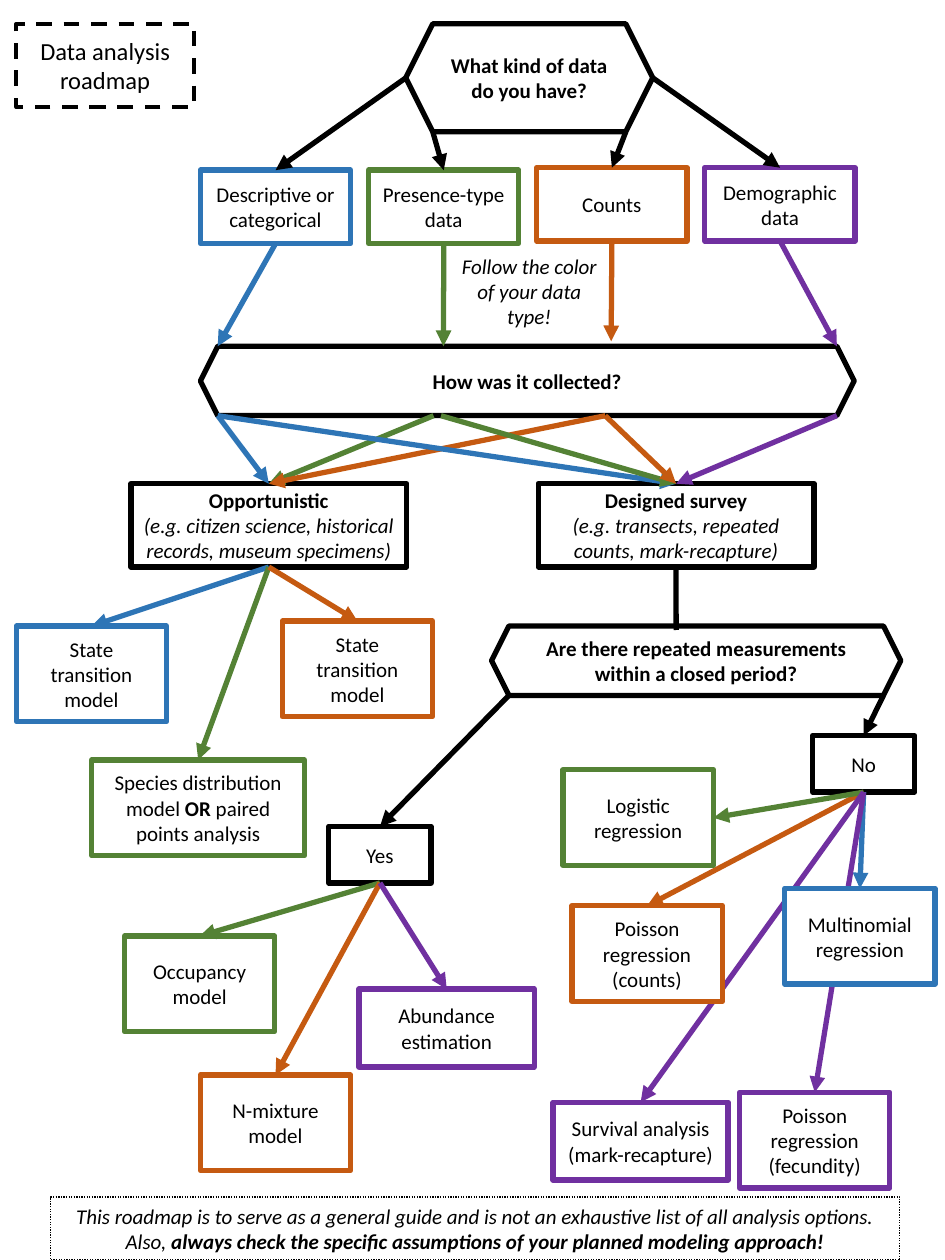
from pptx import Presentation
from pptx import util as u
from pptx.dml.color import RGBColor
from pptx.enum import dml, shapes, text
from pptx.oxml.ns import qn
from lxml import etree

BLACK = RGBColor(0x00, 0x00, 0x00)
WHITE = RGBColor(0xFF, 0xFF, 0xFF)
BLUE = RGBColor(0x2E, 0x75, 0xB6)      # descriptive or categorical
GREEN = RGBColor(0x54, 0x82, 0x35)     # presence-type data
ORANGE = RGBColor(0xC5, 0x5A, 0x11)    # counts
PURPLE = RGBColor(0x70, 0x30, 0xA0)    # demographic data

DATA_SIZE = (3.03, 1.48)
MODEL_SIZE = (3.03, 1.93)
WIDE_SIZE = (3.53, 1.57)
ANSWER_SIZE = (2.06, 1.14)
SURVEY_SIZE = (5.56, 1.68)

RECT = shapes.MSO_SHAPE.RECTANGLE
HEXAGON = shapes.MSO_SHAPE.HEXAGON
MIDDLE = text.MSO_ANCHOR.MIDDLE
TOP = text.MSO_ANCHOR.TOP


def edge(box, across=0.5, down=1.0):
    """Point on a box, in cm, at the given fractions of its width and height."""
    return (box.left.cm + across * box.width.cm, box.top.cm + down * box.height.cm)


def top(box):
    return edge(box, down=0)


def corner(hexagon, right=False, down=1.0):
    """Upper or lower corner of a hexagon, inset by a quarter of its height."""
    inset = 0.25 * hexagon.height / hexagon.width
    return edge(hexagon, 1 - inset if right else inset, down)


class Roadmap:
    def __init__(self, page, font="Calibri", size=12, weight=3):
        self.page, self.font, self.size, self.weight = page, font, size, weight

    def add_text(self, shape, paragraphs, size=None, anchor=MIDDLE):
        """Each paragraph is a list of (words, style); style holds b and/or i."""
        frame = shape.text_frame
        frame.word_wrap = True
        frame.auto_size = text.MSO_AUTO_SIZE.NONE
        frame.vertical_anchor = anchor
        frame.margin_left = frame.margin_right = u.Cm(0.25)
        frame.margin_top = frame.margin_bottom = u.Cm(0.13)
        for index, spans in enumerate(paragraphs):
            para = frame.add_paragraph() if index else frame.paragraphs[0]
            para.alignment = text.PP_ALIGN.CENTER
            for words, style in spans:
                span = para.add_run()
                span.text = words
                span.font.name = self.font
                span.font.size = u.Pt(size or self.size)
                span.font.bold = "b" in style
                span.font.italic = "i" in style
                span.font.color.rgb = BLACK

    def outline(self, shape, color, weight=None, dash=None):
        shape.line.color.rgb = color
        shape.line.width = u.Pt(weight or self.weight)
        if dash:
            shape.line.dash_style = dash

    def title(self, words, left, upper, width, height):
        title = self.page.shapes.title
        title.left, title.top = u.Cm(left), u.Cm(upper)
        title.width, title.height = u.Cm(width), u.Cm(height)
        self.outline(title, BLACK, 2.25, dml.MSO_LINE.DASH)
        self.add_text(title, [[(words, "")]], size=14)

    def box(self, content, at, size, color=BLACK, kind=RECT, fill=None,
            weight=None, dash=None, anchor=MIDDLE):
        box = self.page.shapes.add_shape(kind, *map(u.Cm, at + size))
        box.shadow.inherit = False
        if fill is None:
            box.fill.background()
        else:
            box.fill.solid()
            box.fill.fore_color.rgb = fill
        self.outline(box, color, weight, dash)
        paragraphs = [[(content, "")]] if isinstance(content, str) else content
        self.add_text(box, paragraphs, anchor=anchor)
        return box

    def question(self, words, at, size):
        return self.box([[(words, "b")]], at, size, kind=HEXAGON)

    def note(self, words, at, size):
        note = self.page.shapes.add_textbox(*map(u.Cm, at + size))
        self.add_text(note, [[(words, "i")]], anchor=TOP)

    def line(self, start, end, color=BLACK, arrow=True):
        line = self.page.shapes.add_connector(
            shapes.MSO_CONNECTOR.STRAIGHT, *map(u.Cm, start + end))
        self.outline(line, color)
        properties = line.element.spPr
        if arrow:
            etree.SubElement(properties.get_or_add_ln(), qn("a:tailEnd"), type="triangle")
        etree.SubElement(properties, qn("a:effectLst"))

    def to_front(self, box):
        box.element.getparent().append(box.element)


def main():
    deck = Presentation()
    deck.slide_width, deck.slide_height = u.Cm(19.05), u.Cm(25.4)
    page = deck.slides.add_slide(deck.slide_layouts[5])
    roadmap = Roadmap(page)
    roadmap.title("Data analysis roadmap", 0.33, 0.48, 3.58, 1.68)

    # Questions
    kind = roadmap.question("What kind of data do you have?", (8.18, 0.48), (4.98, 2.18))
    collected = roadmap.question("How was it collected?", (4.04, 6.98), (13.18, 1.4))
    repeated = roadmap.question("Are there repeated measurements within a closed period?",
                                (9.91, 12.62), (8.25, 1.4))

    # Data types
    data_types = [("Descriptive or categorical", 3.43, BLUE),
                  ("Presence-type data", 3.43, GREEN),
                  ("Counts", 3.38, ORANGE),
                  ("Demographic data", 3.38, PURPLE)]
    data = [roadmap.box(words, (4.04 + 3.39 * i, upper), DATA_SIZE, color)
            for i, (words, upper, color) in enumerate(data_types)]
    roadmap.note("Follow the color of your data type!", (9.02, 4.98), (3.3, 1.8))

    # Ways of collecting and answers
    opportunistic = roadmap.box(
        [[("Opportunistic", "b")],
         [("(e.g. citizen science, historical records, museum specimens)", "i")]],
        (2.64, 9.75), SURVEY_SIZE)
    designed = roadmap.box(
        [[("Designed survey", "b")],
         [("(e.g. transects, repeated counts, mark-recapture)", "i")]],
        (10.85, 9.75), SURVEY_SIZE)
    yes = roadmap.box("Yes", (6.63, 16.66), ANSWER_SIZE)
    no = roadmap.box("No", (16.38, 14.83), ANSWER_SIZE)

    # Models
    state_blue = roadmap.box("State transition model", (0.33, 12.62), MODEL_SIZE, BLUE)
    state_orange = roadmap.box("State transition model", (5.69, 12.52), MODEL_SIZE, ORANGE)
    species = roadmap.box(
        [[("Species distribution model ", ""), ("OR", "b"), (" paired points analysis", "")]],
        (1.85, 15.32), (4.29, 1.93), GREEN)
    occupancy = roadmap.box("Occupancy model", (2.51, 18.87), MODEL_SIZE, GREEN)
    mixture = roadmap.box("N-mixture model", (4.04, 21.67), MODEL_SIZE, ORANGE)
    abundance = roadmap.box("Abundance estimation", (7.24, 19.94), WIDE_SIZE, PURPLE)
    survival = roadmap.box("Survival analysis (mark-recapture)", (11.15, 22.22),
                           WIDE_SIZE, PURPLE)
    fecundity = roadmap.box("Poisson regression (fecundity)", (14.91, 22.02),
                            MODEL_SIZE, PURPLE)
    logistic = roadmap.box("Logistic regression", (11.35, 15.52), MODEL_SIZE, GREEN, fill=WHITE)
    counts = roadmap.box("Poisson regression (counts)", (11.53, 18.26), MODEL_SIZE,
                         ORANGE, fill=WHITE)
    multinomial = roadmap.box("Multinomial regression", (15.82, 17.91), MODEL_SIZE,
                              BLUE, fill=WHITE)

    # From the first question to the data types
    starts = [edge(kind, 0, 0.5), corner(kind), corner(kind, right=True), edge(kind, 1, 0.5)]
    for start, box in zip(starts, data):
        roadmap.line(start, top(box))

    # From the data types to the second question
    ends = [corner(collected, down=0), (8.94, 6.98), (12.32, 6.88),
            corner(collected, right=True, down=0)]
    for box, end, (_, _, color) in zip(data, ends, data_types):
        roadmap.line(edge(box), end, color)

    # From the second question to the ways of collecting
    left, right = corner(collected), corner(collected, right=True)
    for start, box, color in [
            (left, opportunistic, BLUE), ((8.74, 8.38), opportunistic, GREEN),
            ((12.2, 8.38), opportunistic, ORANGE), (left, designed, BLUE),
            ((8.89, 8.38), designed, GREEN), ((12.2, 8.38), designed, ORANGE),
            (right, designed, PURPLE)]:
        roadmap.line(start, top(box), color)

    # From the designed survey to the answers
    roadmap.line(edge(designed), (13.63, 12.7), arrow=False)
    roadmap.line(corner(repeated), top(yes))
    roadmap.line(corner(repeated, right=True), top(no))

    # From the answers to the models
    for source, end, color in [
            (opportunistic, top(state_blue), BLUE), (opportunistic, top(species), GREEN),
            (opportunistic, top(state_orange), ORANGE),
            (yes, top(occupancy), GREEN), (yes, top(mixture), ORANGE),
            (yes, top(abundance), PURPLE),
            (no, top(counts), ORANGE), (no, edge(logistic, 1, 0.5), GREEN),
            (no, top(multinomial), BLUE), (no, top(fecundity), PURPLE),
            (no, top(survival), PURPLE)]:
        roadmap.line(edge(source), end, color)

    # Filled models hide the arrows that pass behind them
    for box in (logistic, counts, multinomial):
        roadmap.to_front(box)

    # Closing remark
    roadmap.box(
        [[("This roadmap is to serve as a general guide and is not an exhaustive list "
           "of all analysis options. Also, ", "i"),
          ("always check the specific assumptions of your planned modeling approach!", "bi")]],
        (1.02, 24.13), (17.12, 1.27), weight=0.75, dash=dml.MSO_LINE.ROUND_DOT, anchor=TOP)

    deck.save("out.pptx")


if __name__ == "__main__":
    main()
